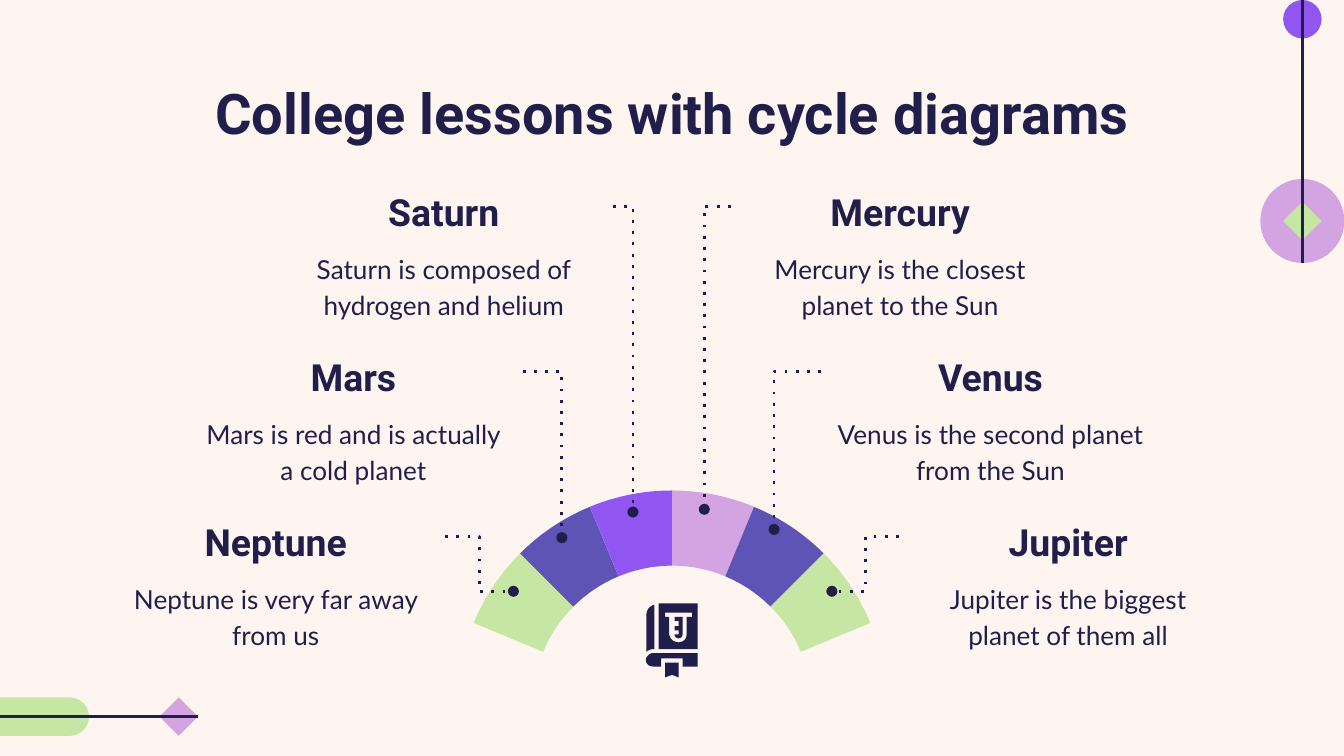
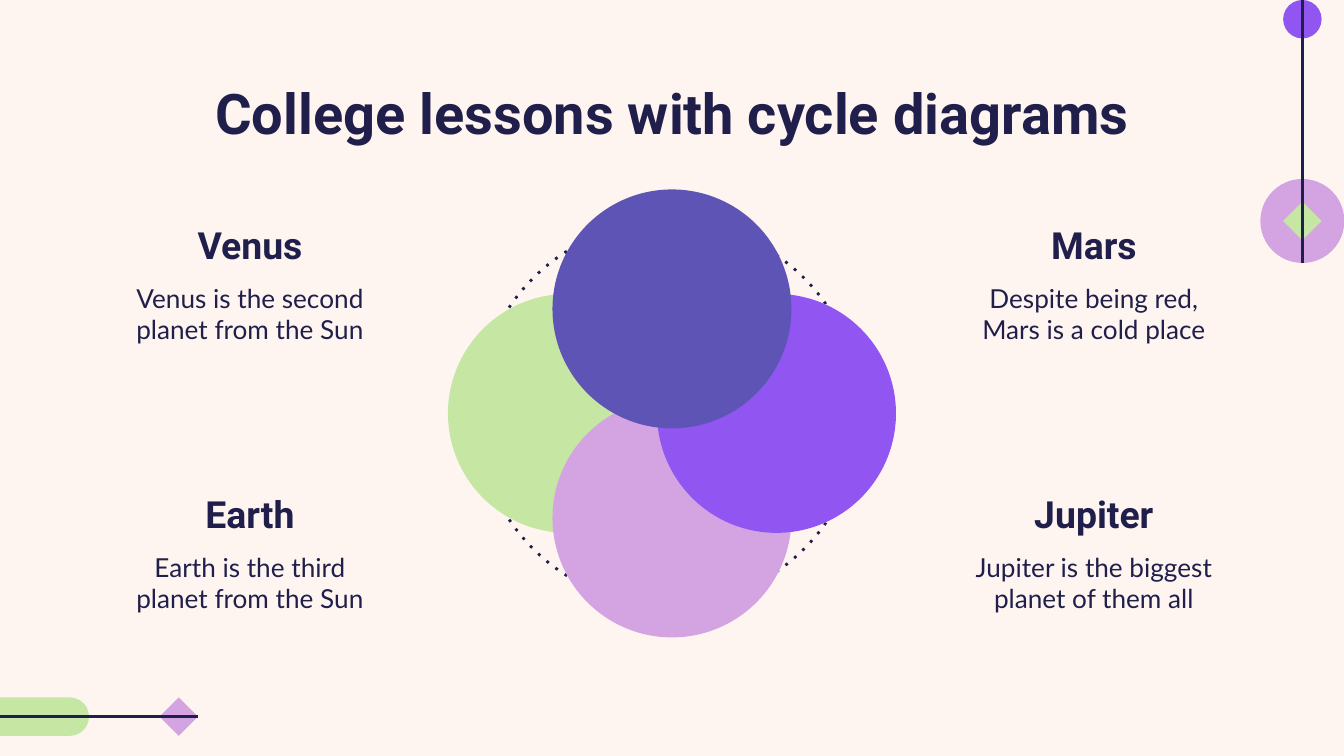
import math
from dataclasses import dataclass

import pptx
import pptx.dml.color
import pptx.enum.shapes
import pptx.enum.text
import pptx.oxml
import pptx.oxml.ns
import pptx.util
import lxml.etree

Pt = pptx.util.Pt
qn = pptx.oxml.ns.qn
SHAPE = pptx.enum.shapes.MSO_SHAPE
LINK = pptx.enum.shapes.MSO_CONNECTOR
ANCHOR = pptx.enum.text.MSO_ANCHOR


@dataclass(frozen=True)
class Theme:
    width: float = 720
    height: float = 405
    paper: str = "FEF5F0"
    ink: str = "201F4B"
    green: str = "C6E6A3"
    indigo: str = "5E54B5"
    violet: str = "9156F1"
    orchid: str = "D4A4E2"
    head_font: str = "Roboto"
    body_font: str = "Lato"
    title_size: float = 30
    head_size: float = 20
    body_size: float = 14
    line_width: float = 1.5
    inset: float = 7.2


T = Theme()
TITLE = "College lessons with cycle diagrams"
HEAD_HEIGHT = 44
BODY_OFFSET = 37.5


def rgb(color):
    return pptx.dml.color.RGBColor.from_string(color)


def paint(sp, color):
    sp.shadow.inherit = False
    sp.fill.solid()
    sp.fill.fore_color.rgb = rgb(color)
    sp.line.fill.background()
    return sp


def stroke(sp, dash=None, tail=None):
    sp.line.color.rgb = rgb(T.ink)
    sp.line.width = Pt(T.line_width)
    ln = sp.element.spPr.find(qn("a:ln"))
    if dash:
        lxml.etree.SubElement(ln, qn("a:prstDash")).set("val", dash)
    if tail:
        lxml.etree.SubElement(ln, qn("a:tailEnd")).set("type", tail)


def add_shape(shapes, kind, x, y, w, h, color):
    return paint(shapes.add_shape(kind, Pt(x), Pt(y), Pt(w), Pt(h)), color)


def add_circle(shapes, cx, cy, size, color):
    return add_shape(shapes, SHAPE.OVAL, cx - size / 2, cy - size / 2, size, size, color)


def add_link(shapes, kind, x1, y1, x2, y2, **style):
    cxn = shapes.add_connector(kind, Pt(x1), Pt(y1), Pt(x2), Pt(y2))
    stroke(cxn, **style)
    lxml.etree.SubElement(cxn.element.spPr, qn("a:effectLst"))
    return cxn


def add_outline(shapes, x, y, contours, color):
    fb = None
    for start, *rest in contours:
        points = [start]
        for step in rest:
            points += flatten(points[-1], step)
        points = [(Pt(x + px), Pt(y + py)) for px, py in points]
        if fb is None:
            fb = shapes.build_freeform(*points[0], scale=1.0)
        else:
            fb.move_to(*points[0])
        fb.add_line_segments(points[1:], close=True)
    return paint(fb.convert_to_shape(), color)


def flatten(start, step, pieces=8):
    if len(step) == 2:
        return [step]
    curve = [start, step[:2], step[2:4], step[4:]]
    points = []
    for i in range(1, pieces + 1):
        t = i / pieces
        weights = [math.comb(3, k) * t ** k * (1 - t) ** (3 - k) for k in range(4)]
        points.append(tuple(sum(w * c[axis] for w, c in zip(weights, curve))
                            for axis in (0, 1)))
    return points


def set_text(sp, text, font, size, bold=False, anchor=ANCHOR.TOP, spacing=None):
    tf = sp.text_frame
    tf.word_wrap = True
    tf.auto_size = pptx.enum.text.MSO_AUTO_SIZE.NONE
    tf.vertical_anchor = anchor
    tf.margin_left = tf.margin_right = tf.margin_top = tf.margin_bottom = Pt(T.inset)
    tf.text = text
    p = tf.paragraphs[0]
    p.alignment = pptx.enum.text.PP_ALIGN.CENTER
    if spacing:
        p.line_spacing = spacing
    r = p.runs[0]
    r.font.name = font
    r.font.size = Pt(size)
    r.font.bold = bold
    r.font.color.rgb = rgb(T.ink)


def add_label(shapes, x, y, w, body_height, name, text, spacing=None):
    body = shapes.add_textbox(Pt(x), Pt(y + BODY_OFFSET), Pt(w), Pt(body_height))
    set_text(body, text, T.body_font, T.body_size, spacing=spacing)
    head = shapes.add_textbox(Pt(x), Pt(y), Pt(w), Pt(HEAD_HEIGHT))
    set_text(head, name, T.head_font, T.head_size, True, ANCHOR.BOTTOM, spacing)
    return head


def add_slide(prs, layout):
    s = prs.slides.add_slide(layout)
    title = s.shapes.title
    title.left, title.top, title.width, title.height = Pt(56.7), Pt(35), Pt(607), Pt(45.5)
    set_text(title, TITLE, T.head_font, T.title_size, True)
    return s


def add_arch(shapes, cx, cy, outer, inner):
    colors = [T.green, T.indigo, T.violet, T.orchid, T.indigo, T.green]
    dots = [(-82.8, -61), (-59, -87.6), (-20.9, -101.3),
            (17.3, -102.8), (54.7, -92), (83.5, -61)]
    sweep, pieces = 22.5, 12
    markers = []
    for i, (color, (dx, dy)) in enumerate(zip(colors, dots)):
        angles = [math.radians((i - 3 + k / pieces) * sweep) for k in range(pieces + 1)]
        edge = [(outer * math.sin(a), -outer * math.cos(a)) for a in angles]
        edge += [(inner * math.sin(a), -inner * math.cos(a)) for a in reversed(angles)]
        add_outline(shapes, cx, cy, [edge], color)
        markers.append(add_circle(shapes, cx + dx, cy + dy, 4.3, color))
    return markers


def add_planet_labels(shapes, y, w, row_step, markers):
    rows = [
        (147, ("Saturn", "Saturn is composed of hydrogen and helium"),
         ("Mercury", "Mercury is the closest planet to the Sun")),
        (98.6, ("Mars", "Mars is red and is actually a cold planet"),
         ("Venus", "Venus is the second planet from the Sun")),
        (57, ("Neptune", "Neptune is very far away from us"),
         ("Jupiter", "Jupiter is the biggest planet of them all")),
    ]
    for i, (margin, left, right) in enumerate(rows):
        top = y + i * row_step
        sides = [(margin, left, markers[2 - i], 3, 1),
                 (T.width - margin - w, right, markers[3 + i], 1, 3)]
        for x, words, marker, start, side in sides:
            head = add_label(shapes, x, top, w, 51, *words, spacing=1.15)
            join_label(shapes, head, start, marker, side if i == 2 else 0)


def join_label(shapes, head, start, marker, end):
    cxn = add_link(shapes, LINK.ELBOW, 0, 0, 0, 0, dash="dot", tail="oval")
    cxn.begin_connect(head, start)
    cxn.end_connect(marker, end)
    oval_sites = {0: "0", 1: "2", 3: "6"}
    cxn.element.find(".//" + qn("a:endCxn")).set("idx", oval_sites[end])
    if end == 0:
        cxn.element.spPr.find(qn("a:prstGeom")).set("prst", "bentConnector2")


def add_book_icon(shapes, x, y):
    letter = [(15.1, 9.4), (17.3, 9.4), (17.3, 12.2), (15.1, 12.2), (15.1, 14.4),
              (17.3, 14.4), (17.3, 16.6), (15.1, 16.6),
              (15.1, 19.4, 19.4, 19.4, 19.4, 16.6), (19.4, 7.2), (15.1, 7.2)]
    cover = [(6.5, 0), (6.5, 24.5), (27.4, 24.5), (27.4, 0)]
    window = [(24.5, 7.2), (21.6, 7.2), (21.6, 16.6),
              (21.6, 22.3, 13, 22.3, 12.2, 16.6),
              (12.2, 7.2), (10.1, 7.2), (10.1, 5), (24.5, 5)]
    spine = [(4.3, 24.5), (4.3, 0.7), (1.4, 1.4, 0, 3.6, 0, 6.5), (0, 25.9),
             (0.7, 25.2, 2.2, 24.5, 3.6, 24.5)]
    pages = [(0.7, 28.1), (-1.4, 30.2, 0, 33.8, 3.6, 33.8), (7.9, 33.8), (7.9, 29.5),
             (19.4, 29.5), (19.4, 33.8), (27.4, 33.8), (27.4, 26.6), (3.6, 26.6),
             (2.2, 26.6, 1.4, 27.4, 0.7, 28.1)]
    ribbon = [(10.1, 39.6), (13.7, 38.2), (17.3, 39.6), (17.3, 31.7), (10.1, 31.7)]
    icon = shapes.add_group_shape()
    for contours in ([letter], [cover, window], [spine], [pages], [ribbon]):
        add_outline(icon.shapes, x, y, contours, T.ink)


def build_arch_slide(prs, layout):
    s = add_slide(prs, layout)
    markers = add_arch(s.shapes, T.width / 2, 377.8, 115, 74.7)
    add_planet_labels(s.shapes, 88.5, 181.5, 88.5, markers)
    add_book_icon(s.shapes, 346.3, 323.3)


def add_corner_labels(shapes, x, y, w, row_step):
    rows = [
        (("Venus", "Venus is the second planet from the Sun"),
         ("Mars", "Despite being red, Mars is a cold place")),
        (("Earth", "Earth is the third planet from the Sun"),
         ("Jupiter", "Jupiter is the biggest planet of them all")),
    ]
    for i, row in enumerate(rows):
        for left, words in zip((x, T.width - x - w), row):
            add_label(shapes, left, y + i * row_step, w, 48, *words)


def add_circle_cycle(shapes, cx, cy, size, shift):
    ring_size = 205.2
    ring = add_circle(shapes, cx - 1.8, cy, ring_size, T.paper)
    ring.fill.background()
    stroke(ring, dash="dot")
    for dx, dy, color in [(-1, 0, T.green), (0, 1, T.orchid),
                          (1, 0, T.violet), (0, -1, T.indigo)]:
        add_circle(shapes, cx + dx * shift, cy + dy * shift, size, color)


def build_circles_slide(prs, layout):
    s = add_slide(prs, layout)
    add_corner_labels(s.shapes, 56.2, 106.5, 155.5, 144)
    add_circle_cycle(s.shapes, T.width / 2, 221.5, 128, 56)
    return s


def add_top_ornament(shapes, cx, size):
    x, disc_y = cx - size / 2, 118.4
    return [
        add_circle(shapes, cx, disc_y, 45, T.orchid),
        add_shape(shapes, SHAPE.DIAMOND, x, disc_y - size / 2, size, size, T.green),
        add_circle(shapes, cx, size / 2, size, T.violet),
        add_link(shapes, LINK.STRAIGHT, cx, 141, cx, 0),
    ]


def add_bottom_ornament(shapes, y, size):
    pill = add_shape(shapes, SHAPE.ROUNDED_RECTANGLE, -49.5, y, 97.2, size, T.green)
    pill.adjustments[0] = 0.5
    middle = y + size / 2
    return [
        pill,
        add_shape(shapes, SHAPE.DIAMOND, 85.5, y, size, size, T.orchid),
        add_link(shapes, LINK.STRAIGHT, -34.5, middle, 106, middle),
    ]


def decorate(layout, s):
    layout.background.fill.solid()
    layout.background.fill.fore_color.rgb = rgb(T.paper)
    parts = add_top_ornament(s.shapes, 697.7, 20.6)
    parts += add_bottom_ornament(s.shapes, 373.6, 20.6)
    for sp in parts:
        layout.shapes.element.append(sp.element)


def main():
    prs = pptx.Presentation()
    prs.slide_width, prs.slide_height = Pt(T.width), Pt(T.height)
    layout = prs.slide_layouts[5]
    build_arch_slide(prs, layout)
    s = build_circles_slide(prs, layout)
    decorate(layout, s)
    prs.save("out.pptx")


if __name__ == "__main__":
    main()
